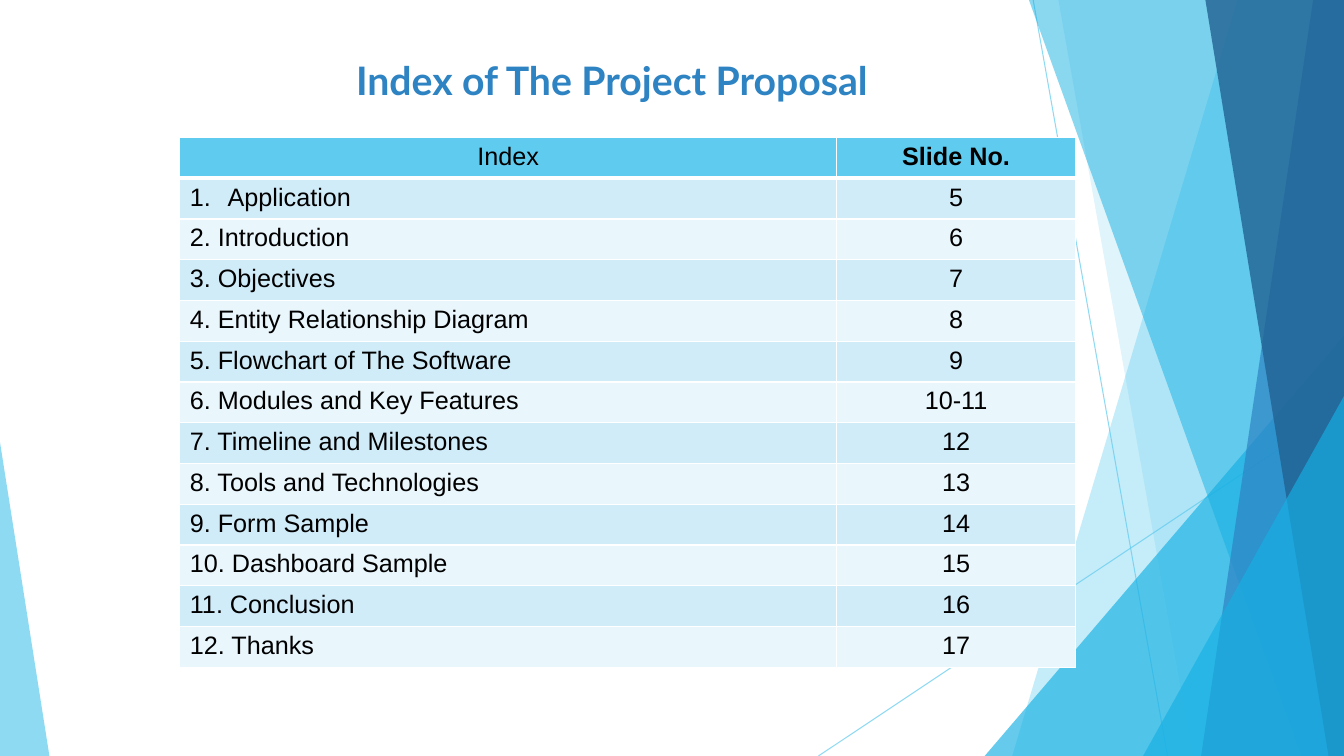
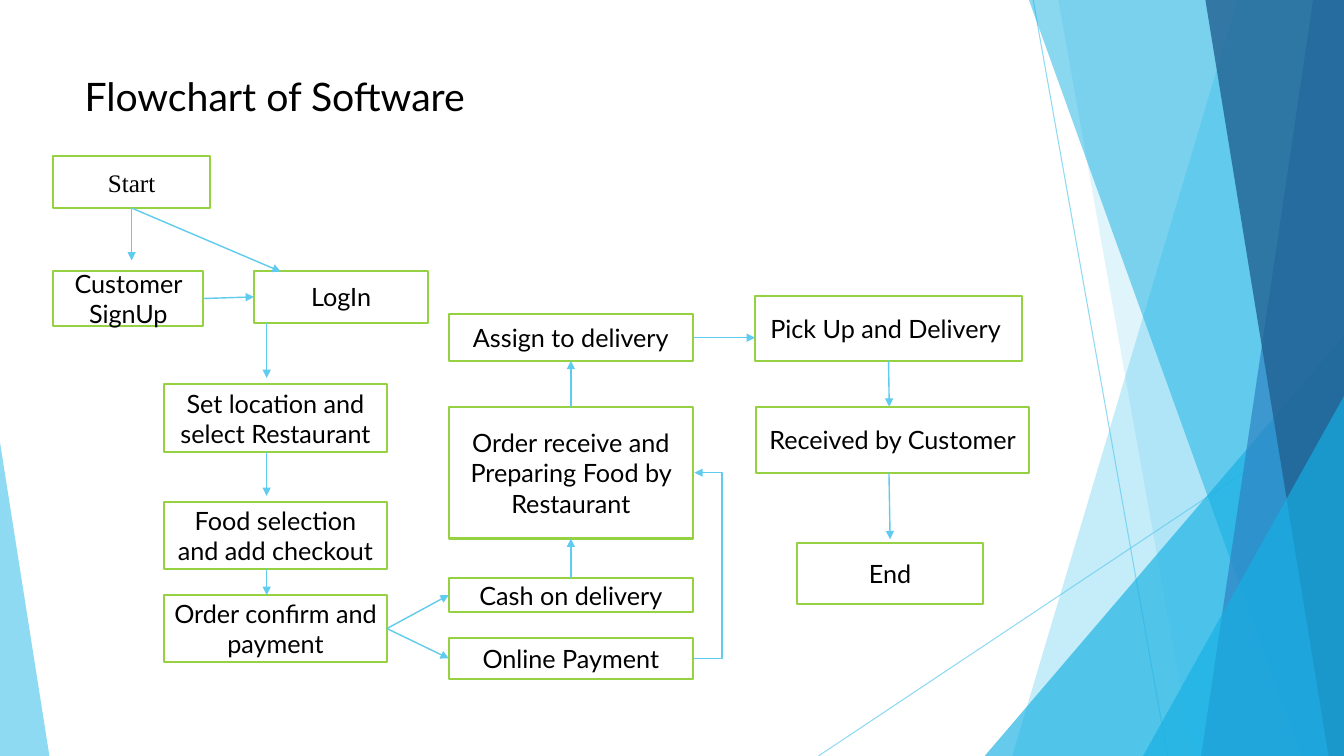
from pptx import Presentation
from pptx import util as u
from pptx.dml import color
from pptx.enum import shapes, text
from pptx.oxml import ns, xmlchemy

Pt = u.Pt
WIDTH, HEIGHT = 960, 540
COLORS = {
    "sky": "5FCBEF", "cyan": "16B0E3", "blue": "2E83C3", "navy": "226292",
    "green": "96D141", "white": "FFFFFF", "black": "000000",
    "row_dark": "D1ECF9", "row_light": "E9F6FC",
}
LEFT, CENTER = text.PP_ALIGN.LEFT, text.PP_ALIGN.CENTER
TOP_SITE, LEFT_SITE, BOTTOM_SITE, RIGHT_SITE = range(4)

# Decoration: slanted bands run to the right edge from a top x to a bottom x
BACKDROP = [
    ("line", (738, 0, 834, 540), "sky", 70),
    ("line", (960, 290, 584.6, 540), "sky", 70),
    ("band", (884, 723), "sky", 36),
    ("band", (756, 852), "sky", 20),
    ("triangle", (703.4, 239.8, 256.6, 300.2, 1), "cyan", 66),
    ("band", (735, 929.5), "cyan", 50),
    ("band", (938, 858), "blue", 70),
    ("band", (861, 949), "navy", 80),
    ("triangle", (816.5, 283, 143.5, 257, 1), "cyan", 66),
    ("triangle", (0, 316, 35.3, 224, 0), "sky", 70),
]


def rgb(name):
    return color.RGBColor.from_string(COLORS[name])


def add_xml(parent, tag, **attributes):
    child = xmlchemy.OxmlElement(tag)
    for key, value in attributes.items():
        child.set(key, str(value))
    parent.append(child)
    return child


def set_opacity(shape, percent):
    for node in shape.element.iter(ns.qn("a:srgbClr")):
        add_xml(node, "a:alpha", val=percent * 1000)


class Deck:
    def __init__(self):
        self.presentation = Presentation()
        self.presentation.slide_width = Pt(WIDTH)
        self.presentation.slide_height = Pt(HEIGHT)
        self.slide = None

    def new_slide(self):
        layout = self.presentation.slide_layouts[6]
        self.slide = self.presentation.slides.add_slide(layout)
        makers = {"line": self.line, "band": self.band,
                  "triangle": self.triangle}
        for kind, geometry, fill, opacity in BACKDROP:
            set_opacity(makers[kind](*geometry, fill), opacity)

    def paint(self, shape, fill, line=None):
        shape.shadow.inherit = False
        shape.fill.solid()
        shape.fill.fore_color.rgb = rgb(fill)
        if line:
            shape.line.color.rgb = rgb(line)
            shape.line.width = Pt(1.5)
        else:
            shape.line.fill.background()
        return shape

    def set_text(self, frame, words, size=18, font="Lato", ink="black",
                 bold=False, align=CENTER):
        frame.text = words
        frame.word_wrap = True
        paragraph = frame.paragraphs[0]
        paragraph.alignment = align
        style = paragraph.runs[0].font
        style.name, style.size, style.bold = font, Pt(size), bold
        style.color.rgb = rgb(ink)
        return paragraph

    # Backdrop parts
    def band(self, top_x, bottom_x, fill):
        builder = self.slide.shapes.build_freeform(Pt(top_x), 0)
        corners = [(WIDTH, 0), (WIDTH, HEIGHT), (bottom_x, HEIGHT)]
        builder.add_line_segments([(Pt(x), Pt(y)) for x, y in corners])
        return self.paint(builder.convert_to_shape(), fill)

    def triangle(self, left, top, width, height, apex, fill):
        shape = self.slide.shapes.add_shape(
            shapes.MSO_SHAPE.ISOSCELES_TRIANGLE,
            Pt(left), Pt(top), Pt(width), Pt(height))
        shape.adjustments[0] = apex
        return self.paint(shape, fill)

    def line(self, x1, y1, x2, y2, ink, width=0.75,
             kind=shapes.MSO_CONNECTOR.STRAIGHT):
        connector = self.slide.shapes.add_connector(
            kind, Pt(x1), Pt(y1), Pt(x2), Pt(y2))
        connector.line.color.rgb = rgb(ink)
        connector.line.width = Pt(width)
        add_xml(connector.element.spPr, "a:effectLst")
        return connector

    # Content parts
    def title(self, words, left, top, width, height, **style):
        box = self.slide.shapes.add_textbox(
            Pt(left), Pt(top), Pt(width), Pt(height))
        self.set_text(box.text_frame, words, size=28, **style)

    def box(self, words, left, top, width, height, font="Lato"):
        shape = self.slide.shapes.add_shape(
            shapes.MSO_SHAPE.RECTANGLE,
            Pt(left), Pt(top), Pt(width), Pt(height))
        self.paint(shape, "white", "green")
        shape.text_frame.vertical_anchor = text.MSO_ANCHOR.MIDDLE
        self.set_text(shape.text_frame, words, font=font)
        return shape

    def add_head(self, connector):
        line = connector.element.spPr.find(ns.qn("a:ln"))
        add_xml(line, "a:tailEnd", type="triangle")

    def arrow(self, start, end):
        """Each end is a point (x, y) or a pair (box, connection site)."""
        points = [item if isinstance(item[0], (int, float)) else (0, 0)
                  for item in (start, end)]
        connector = self.line(*points[0], *points[1], "sky", 1)
        if points[0] is not start:
            connector.begin_connect(*start)
        if points[1] is not end:
            connector.end_connect(*end)
        self.add_head(connector)

    def elbow(self, x, start_y, end_y, reach):
        connector = self.line(x, start_y, x + 1, end_y, "sky", 1,
                              shapes.MSO_CONNECTOR.ELBOW)
        geometry = connector.element.spPr.find(ns.qn("a:prstGeom"))
        guides = geometry.find(ns.qn("a:avLst"))
        if guides is None:
            guides = add_xml(geometry, "a:avLst")
        add_xml(guides, "a:gd", name="adj1", fmla=f"val {reach * 100000}")
        self.add_head(connector)

    def cell(self, cell, words, fill, bottom=1, **style):
        properties = cell._tc.get_or_add_tcPr()
        for side in "LRTB":
            width = bottom if side == "B" else 1
            border = add_xml(properties, f"a:ln{side}", w=int(Pt(width)))
            add_xml(add_xml(border, "a:solidFill"), "a:srgbClr",
                    val=COLORS["white"])
        cell.fill.solid()
        cell.fill.fore_color.rgb = rgb(fill)
        return self.set_text(cell.text_frame, words, font="Arial", **style)

    def index_table(self, entries, left, top, widths, row_height):
        table = self.slide.shapes.add_table(
            len(entries) + 1, 2, Pt(left), Pt(top), Pt(sum(widths)),
            Pt(row_height * (len(entries) + 1))).table
        table.first_row = table.horz_banding = False
        for column, width in zip(table.columns, widths):
            column.width = Pt(width)
        for row in table.rows:
            row.height = Pt(row_height)
        self.cell(table.cell(0, 0), "Index", "sky", bottom=3)
        self.cell(table.cell(0, 1), "Slide No.", "sky", bottom=3, bold=True)
        for number, (topic, page) in enumerate(entries, 1):
            fill = "row_dark" if number % 2 else "row_light"
            label = topic if number == 1 else f"{number}. {topic}"
            paragraph = self.cell(table.cell(number, 0), label, fill,
                                  align=LEFT)
            if number == 1:
                self.number(paragraph, 27)
            self.cell(table.cell(number, 1), page, fill)

    def number(self, paragraph, indent):
        properties = paragraph._p.get_or_add_pPr()
        properties.set("marL", str(int(Pt(indent))))
        properties.set("indent", str(-int(Pt(indent))))
        add_xml(properties, "a:buAutoNum", type="arabicPeriod")


def build_index(deck):
    deck.new_slide()
    deck.title("Index of The Project Proposal", 229.7, 36.7, 414.7, 41,
               ink="blue", bold=True)
    entries = [
        ("Application", "5"), ("Introduction", "6"), ("Objectives", "7"),
        ("Entity Relationship Diagram", "8"),
        ("Flowchart of The Software", "9"),
        ("Modules and Key Features", "10-11"),
        ("Timeline and Milestones", "12"),
        ("Tools and Technologies", "13"), ("Form Sample", "14"),
        ("Dashboard Sample", "15"), ("Conclusion", "16"), ("Thanks", "17"),
    ]
    deck.index_table(entries, 128.4, 98.2, (469.2, 170.7), 29.12)


def build_flowchart(deck):
    deck.new_slide()
    deck.title("Flowchart of Software", 53.3, 48.2, 677, 46, align=LEFT)

    # Sign-in steps
    start = deck.box("Start", 38, 111.4, 112, 37.2, font="Times New Roman")
    sign_up = deck.box("Customer SignUp", 38, 193.5, 107.3, 39.5)
    log_in = deck.box("LogIn", 181.4, 193.5, 124.6, 37.2)

    # Ordering column
    for words, top in (("Set location and select Restaurant", 274.6),
                       ("Food selection and add checkout", 358.5),
                       ("Order confirm and payment", 425)):
        confirm = deck.box(words, 117.2, top, 159.2, 48)

    # Payment and kitchen column
    assign, kitchen, cash, online = [
        deck.box(words, 320.6, top, 174.4, height)
        for words, top, height in (
            ("Assign to delivery", 224.6, 33.2),
            ("Order receive and Preparing Food by Restaurant", 290.7, 94),
            ("Cash on delivery", 413, 24),
            ("Online Payment", 455.8, 29))]

    # Delivery column
    pick_up = deck.box("Pick Up and Delivery ", 539.3, 211.6, 190.8, 46.2)
    deck.box("Received by Customer", 540, 290.5, 195.2, 47.2)
    deck.box("End", 569.3, 387.7, 133, 43.6)

    # Arrows
    for origin, target in (
            ((start, BOTTOM_SITE), (94, 186)),
            ((start, BOTTOM_SITE), (200.5, 194)),
            ((sign_up, RIGHT_SITE), (log_in, LEFT_SITE)),
            ((190.5, 230.7), (190.5, 270)),
            ((190.5, 322.6), (190.5, 354.2)),
            ((190.5, 406.5), (190.5, 425)),
            ((confirm, RIGHT_SITE), (online, LEFT_SITE)),
            ((confirm, RIGHT_SITE), (cash, LEFT_SITE)),
            ((cash, TOP_SITE), (kitchen, BOTTOM_SITE)),
            ((kitchen, TOP_SITE), (assign, BOTTOM_SITE)),
            ((assign, RIGHT_SITE), (539.3, 241.2)),
            ((pick_up, BOTTOM_SITE), (635.2, 290.5)),
            ((635, 337.7), (635.8, 385.2))):
        deck.arrow(origin, target)
    deck.elbow(495, 470.3, 337.7, 21)


def main():
    deck = Deck()
    build_index(deck)
    build_flowchart(deck)
    deck.presentation.save("out.pptx")


if __name__ == "__main__":
    main()
